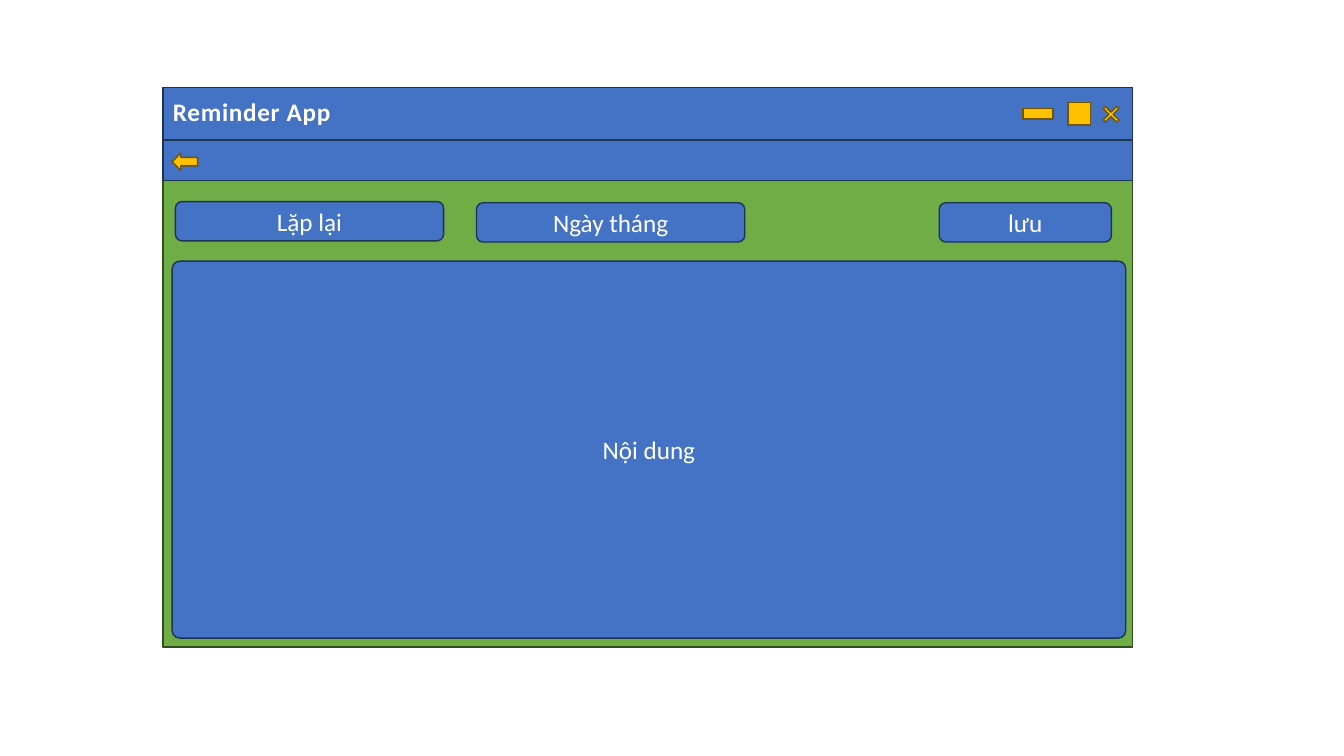
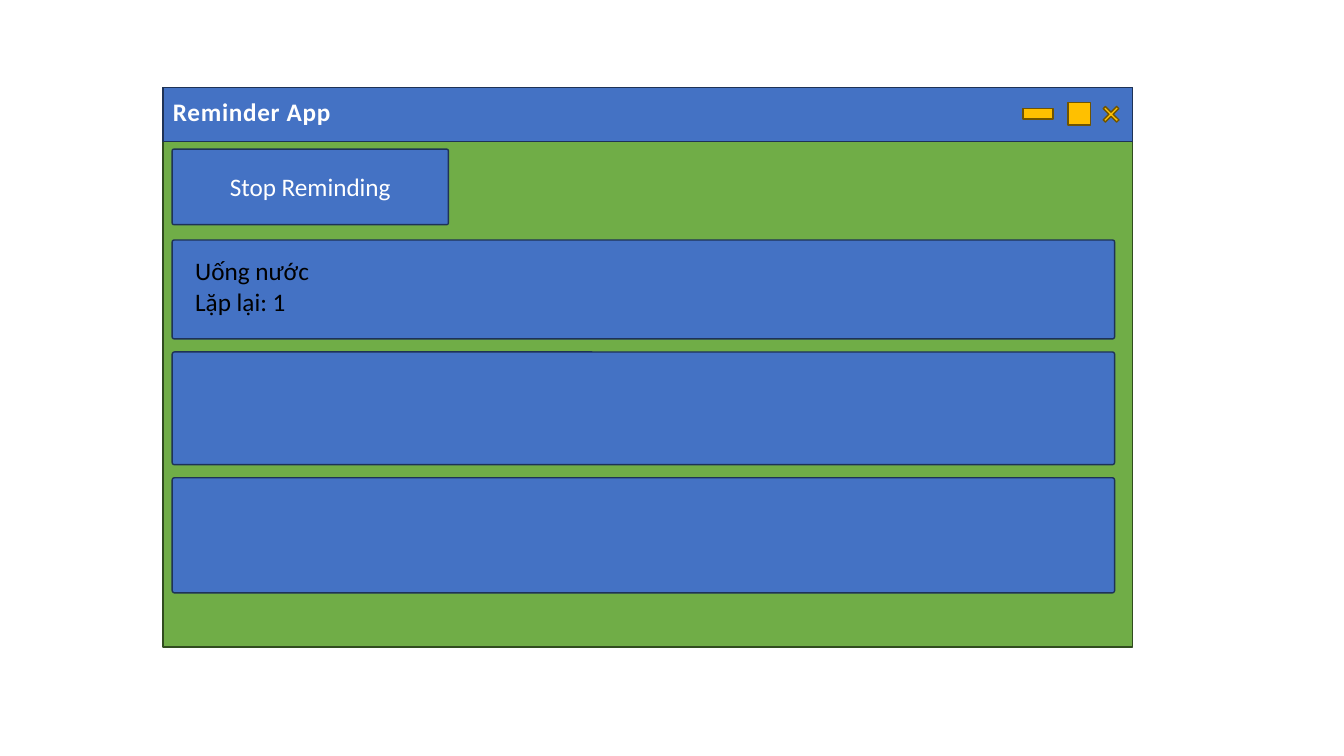
from dataclasses import dataclass
from typing import Optional

import lxml.etree
import pptx
import pptx.dml.color
import pptx.enum.shapes
import pptx.enum.text
import pptx.oxml.ns
import pptx.util

Cm = pptx.util.Cm
Pt = pptx.util.Pt
MSO = pptx.enum.shapes.MSO_SHAPE
ALIGN = pptx.enum.text.PP_ALIGN

COLORS = {
    "blue": "4472C4", "blue_line": "1E3256",
    "green": "70AD47", "green_line": "314C1F",
    "gold": "FFC000", "gold_line": "705400",
    "white": "FFFFFF", "title": "FEFEFE", "black": "000000",
}
FONT = "Calibri"
FONT_SIZE = 18
WINDOW_LEFT, WINDOW_TOP, WINDOW_WIDTH, WINDOW_HEIGHT = 4.11, 2.21, 24.43, 14.1
TITLE_BAR_HEIGHT = 1.35
CONTENT_LEFT = 4.34
SLIGHT_ROUNDING = 0.02


@dataclass(frozen=True)
class Box:
    left: float
    top: float
    width: float
    height: float
    color: str = "blue"
    kind: MSO = MSO.RECTANGLE
    adj: Optional[float] = None
    rotation: float = 0
    text: str = ""


@dataclass(frozen=True)
class Label:
    left: float
    top: float
    width: float
    height: float
    lines: tuple[str, ...]
    color: str
    wrap: bool = True
    bold: bool = False


WINDOW = (
    Box(WINDOW_LEFT, WINDOW_TOP, WINDOW_WIDTH, WINDOW_HEIGHT, "green"),
    Box(WINDOW_LEFT, WINDOW_TOP, WINDOW_WIDTH, TITLE_BAR_HEIGHT),
    Box(27.76, 2.64, 0.48, 0.48, "gold", MSO.CROSS, 0.42, 44.9),
    Box(25.78, 2.74, 0.76, 0.26, "gold"),
    Box(26.92, 2.59, 0.56, 0.56, "gold"),
)
TITLE = Label(WINDOW_LEFT, 2.31, 4.52, 1.02, ("Reminder App",), "title", wrap=False, bold=True)

EDITOR = (
    Box(WINDOW_LEFT, 3.53, WINDOW_WIDTH, 1.02),
    Box(CONTENT_LEFT, 3.86, 0.64, 0.43, "gold", MSO.LEFT_ARROW),
    Box(CONTENT_LEFT, 6.58, 24.03, 9.5, kind=MSO.ROUNDED_RECTANGLE, adj=SLIGHT_ROUNDING, text="Nội dung"),
    Box(4.42, 5.08, 6.76, 0.99, kind=MSO.ROUNDED_RECTANGLE, text="Lặp lại"),
    Box(12.01, 5.11, 6.76, 0.99, kind=MSO.ROUNDED_RECTANGLE, text="Ngày tháng"),
    Box(23.67, 5.11, 4.34, 0.99, kind=MSO.ROUNDED_RECTANGLE, text="lưu"),
)

STOP_BUTTON = Box(CONTENT_LEFT, 3.76, 6.96, 1.9, kind=MSO.ROUNDED_RECTANGLE,
                  adj=SLIGHT_ROUNDING, text="Stop Reminding")
ROWS_TOP = 6.05
ROW_WIDTH = 23.75
ROW_GAP = 0.33
ROW_HEIGHTS = (2.49, 2.84, 2.9)
REMINDER = Label(4.67, 6.32, 3.76, 1.8, ("Uống nước", "Lặp lại: 1"), "black")


def rgb(name: str) -> pptx.dml.color.RGBColor:
    return pptx.dml.color.RGBColor.from_string(COLORS[name])


def add_run(p, text: str, color: str, bold: bool = False):
    r = p.add_run()
    r.text = text
    r.font.name = FONT
    r.font.size = Pt(FONT_SIZE)
    r.font.bold = bold
    r.font.color.rgb = rgb(color)
    return r


def add_box(slide, box: Box) -> None:
    sp = slide.shapes.add_shape(box.kind, Cm(box.left), Cm(box.top), Cm(box.width), Cm(box.height))
    sp.shadow.inherit = False
    sp.fill.solid()
    sp.fill.fore_color.rgb = rgb(box.color)
    sp.line.color.rgb = rgb(f"{box.color}_line")
    sp.line.width = Pt(1)
    sp.rotation = box.rotation
    if box.adj is not None:
        sp.adjustments[0] = box.adj
    if box.text:
        tf = sp.text_frame
        tf.vertical_anchor = pptx.enum.text.MSO_ANCHOR.MIDDLE
        p = tf.paragraphs[0]
        p.alignment = ALIGN.CENTER
        add_run(p, box.text, "white")


def add_label(slide, label: Label) -> list:
    sp = slide.shapes.add_textbox(Cm(label.left), Cm(label.top), Cm(label.width), Cm(label.height))
    tf = sp.text_frame
    tf.word_wrap = label.wrap
    tf.auto_size = pptx.enum.text.MSO_AUTO_SIZE.SHAPE_TO_FIT_TEXT
    runs = []
    for i, line in enumerate(label.lines):
        p = tf.add_paragraph() if i else tf.paragraphs[0]
        runs.append(add_run(p, line, label.color, label.bold))
    return runs


def outline_run(r, color: str, width: float, spacing: float) -> None:
    qn = pptx.oxml.ns.qn
    props = r.font._element
    props.set("spc", str(round(spacing * 100)))
    ln = lxml.etree.Element(qn("a:ln"), w=str(Pt(width)))
    fill = lxml.etree.SubElement(ln, qn("a:solidFill"))
    lxml.etree.SubElement(fill, qn("a:srgbClr"), val=COLORS[color])
    props.insert(0, ln)


def add_window(prs):
    slide = prs.slides.add_slide(prs.slide_layouts[6])
    for box in WINDOW:
        add_box(slide, box)
    for r in add_label(slide, TITLE):
        outline_run(r, "blue", 0.75, 0.5)
    return slide


def build_editor(prs) -> None:
    slide = add_window(prs)
    for box in EDITOR:
        add_box(slide, box)


def build_reminders(prs) -> None:
    slide = add_window(prs)
    add_box(slide, STOP_BUTTON)
    top = ROWS_TOP
    for height in ROW_HEIGHTS:
        add_box(slide, Box(CONTENT_LEFT, top, ROW_WIDTH, height,
                           kind=MSO.ROUNDED_RECTANGLE, adj=SLIGHT_ROUNDING))
        top += height + ROW_GAP
    add_label(slide, REMINDER)


def main() -> None:
    prs = pptx.Presentation()
    prs.slide_width = Cm(33.87)
    prs.slide_height = Cm(19.05)
    build_editor(prs)
    build_reminders(prs)
    prs.save("out.pptx")


if __name__ == "__main__":
    main()
